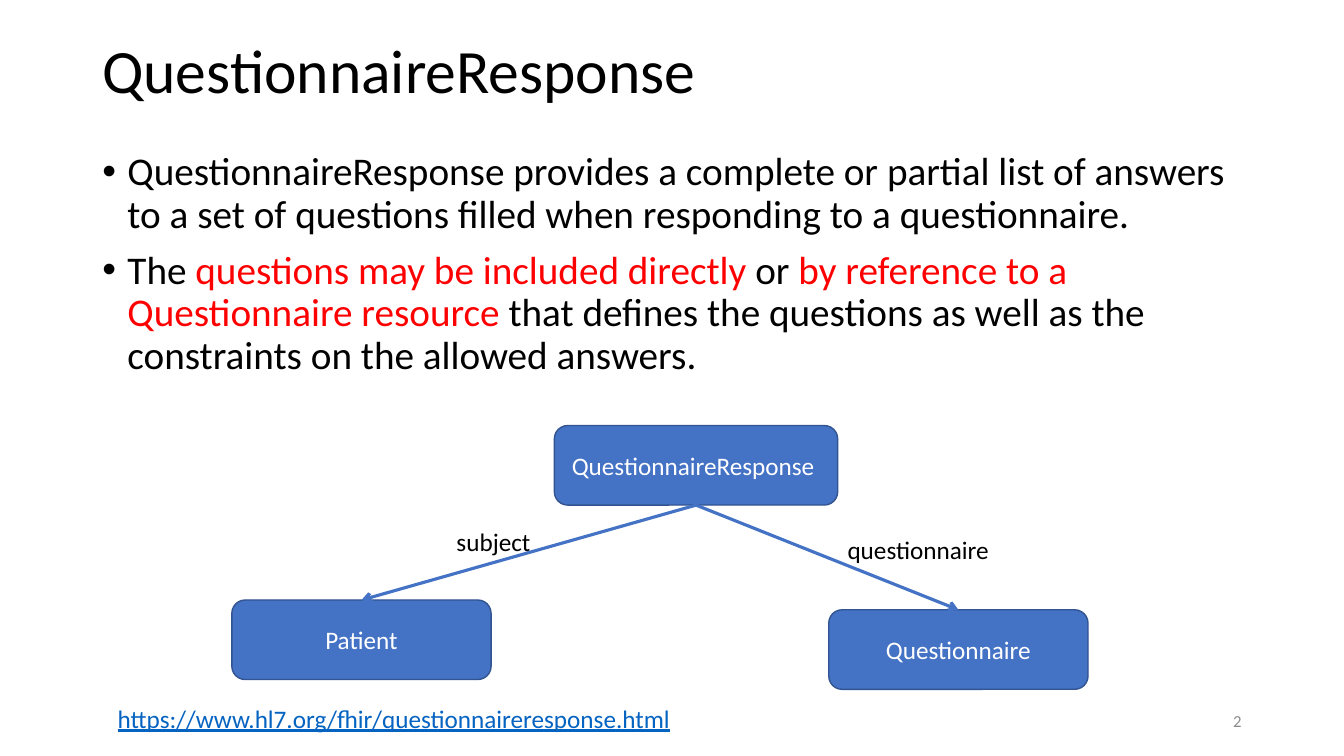
from dataclasses import dataclass

from lxml.etree import SubElement
from pptx import Presentation
from pptx.dml.color import RGBColor
from pptx.enum.shapes import MSO_CONNECTOR, MSO_SHAPE
from pptx.enum.text import MSO_ANCHOR, PP_ALIGN
from pptx.oxml.ns import qn
from pptx.shapes.autoshape import Shape
from pptx.slide import Slide
from pptx.util import Pt


@dataclass(frozen=True)
class Theme:
    font: str = "Calibri"
    ink: str = "000000"
    emphasis: str = "FF0000"
    node_fill: str = "4472C4"
    node_line: str = "325491"
    node_text: str = "FFFFFF"
    address: str = "0563C1"
    page_number: str = "8C8C8C"
    title_size: float = 44
    body_size: float = 28
    label_size: float = 18
    number_size: float = 12


THEME = Theme()


@dataclass(frozen=True)
class Frame:
    left: float
    top: float
    width: float
    height: float


@dataclass(frozen=True)
class Label:
    text: str
    frame: Frame
    size: float = THEME.label_size
    color: str = THEME.ink
    align: PP_ALIGN = PP_ALIGN.LEFT
    anchor: MSO_ANCHOR = MSO_ANCHOR.TOP
    wrap: bool = False
    underline: bool = False
    line_spacing: float = 1.0


@dataclass(frozen=True)
class Node:
    text: str
    frame: Frame


@dataclass(frozen=True)
class Span:
    text: str
    color: str = THEME.ink


TITLE = Label("QuestionnaireResponse", Frame(66, 0, 828, 104.4), THEME.title_size,
              anchor=MSO_ANCHOR.MIDDLE, wrap=True, line_spacing=0.9)
BODY_FRAME = Frame(66, 105, 828, 381.6)
BULLETS = [
    [Span("QuestionnaireResponse provides a complete or partial list of answers "
          "to a set of questions filled when responding to a questionnaire.")],
    [Span("The "),
     Span("questions may be included directly", THEME.emphasis),
     Span(" or "),
     Span("by reference to a Questionnaire resource", THEME.emphasis),
     Span(" that defines the questions as well as the constraints on the allowed answers.")],
]
RESPONSE = Node("QuestionnaireResponse ", Frame(396, 304, 202.4, 56.8))
REFERENCES = [
    Node("Patient", Frame(165.6, 428.6, 185.2, 56.8)),
    Node("Questionnaire", Frame(592, 435.6, 185.2, 56.8)),
]
LABELS = [
    TITLE,
    Label("subject", Frame(319, 372.2, 67.7, 29)),
    Label("questionnaire", Frame(598.3, 378.3, 116.6, 29)),
    Label("https://www.hl7.org/fhir/questionnaireresponse.html",
          Frame(77, 498.5, 414, 29), color=THEME.address, underline=True),
    Label("2", Frame(678, 500.5, 216, 28.8), THEME.number_size, THEME.page_number,
          PP_ALIGN.RIGHT, MSO_ANCHOR.MIDDLE, True),
]


def place(frame: Frame) -> tuple[Pt, Pt, Pt, Pt]:
    return Pt(frame.left), Pt(frame.top), Pt(frame.width), Pt(frame.height)


def style_font(font, size: float, color: str) -> None:
    font.name = THEME.font
    font.size = Pt(size)
    font.color.rgb = RGBColor.from_string(color)


def add_label(page: Slide, label: Label) -> None:
    box = page.shapes.add_textbox(*place(label.frame))
    text_frame = box.text_frame
    text_frame.text = label.text
    text_frame.word_wrap = label.wrap
    text_frame.vertical_anchor = label.anchor
    para = text_frame.paragraphs[0]
    para.alignment = label.align
    para.line_spacing = label.line_spacing
    font = para.runs[0].font
    style_font(font, label.size, label.color)
    if label.underline:
        font.underline = True


def add_bullets(page: Slide, frame: Frame, bullets: list[list[Span]]) -> None:
    text_frame = page.shapes.add_textbox(*place(frame)).text_frame
    text_frame.word_wrap = True
    for index, spans in enumerate(bullets):
        para = text_frame.add_paragraph() if index else text_frame.paragraphs[0]
        para.line_spacing = 0.9
        para.space_before = Pt(10)
        properties = para._p.get_or_add_pPr()
        properties.set("marL", str(Pt(18)))
        properties.set("indent", str(-Pt(18)))
        SubElement(properties, qn("a:buFont"), typeface="Arial")
        SubElement(properties, qn("a:buChar"), char="•")
        for span in spans:
            run = para.add_run()
            run.text = span.text
            style_font(run.font, THEME.body_size, span.color)


def add_node(page: Slide, node: Node) -> Shape:
    box = page.shapes.add_shape(MSO_SHAPE.ROUNDED_RECTANGLE, *place(node.frame))
    box.shadow.inherit = False
    box.fill.solid()
    box.fill.fore_color.rgb = RGBColor.from_string(THEME.node_fill)
    box.line.color.rgb = RGBColor.from_string(THEME.node_line)
    box.line.width = Pt(1)
    text_frame = box.text_frame
    text_frame.text = node.text
    text_frame.word_wrap = True
    text_frame.vertical_anchor = MSO_ANCHOR.MIDDLE
    para = text_frame.paragraphs[0]
    para.alignment = PP_ALIGN.CENTER
    style_font(para.runs[0].font, THEME.label_size, THEME.node_text)
    return box


def add_arrow(page: Slide, source: Shape, target: Shape) -> None:
    arrow = page.shapes.add_connector(MSO_CONNECTOR.STRAIGHT, 0, 0, 0, 0)
    arrow.begin_connect(source, 2)
    arrow.end_connect(target, 0)
    arrow.line.color.rgb = RGBColor.from_string(THEME.node_fill)
    arrow.line.width = Pt(2.25)
    SubElement(arrow.line._get_or_add_ln(), qn("a:tailEnd"), type="arrow")
    SubElement(arrow._element.spPr, qn("a:effectLst"))


def main() -> None:
    deck = Presentation()
    deck.slide_width, deck.slide_height = Pt(960), Pt(540)
    page = deck.slides.add_slide(deck.slide_layouts[6])
    add_bullets(page, BODY_FRAME, BULLETS)
    response = add_node(page, RESPONSE)
    for reference in REFERENCES:
        add_arrow(page, response, add_node(page, reference))
    for label in LABELS:
        add_label(page, label)
    deck.save("out.pptx")


if __name__ == "__main__":
    main()
